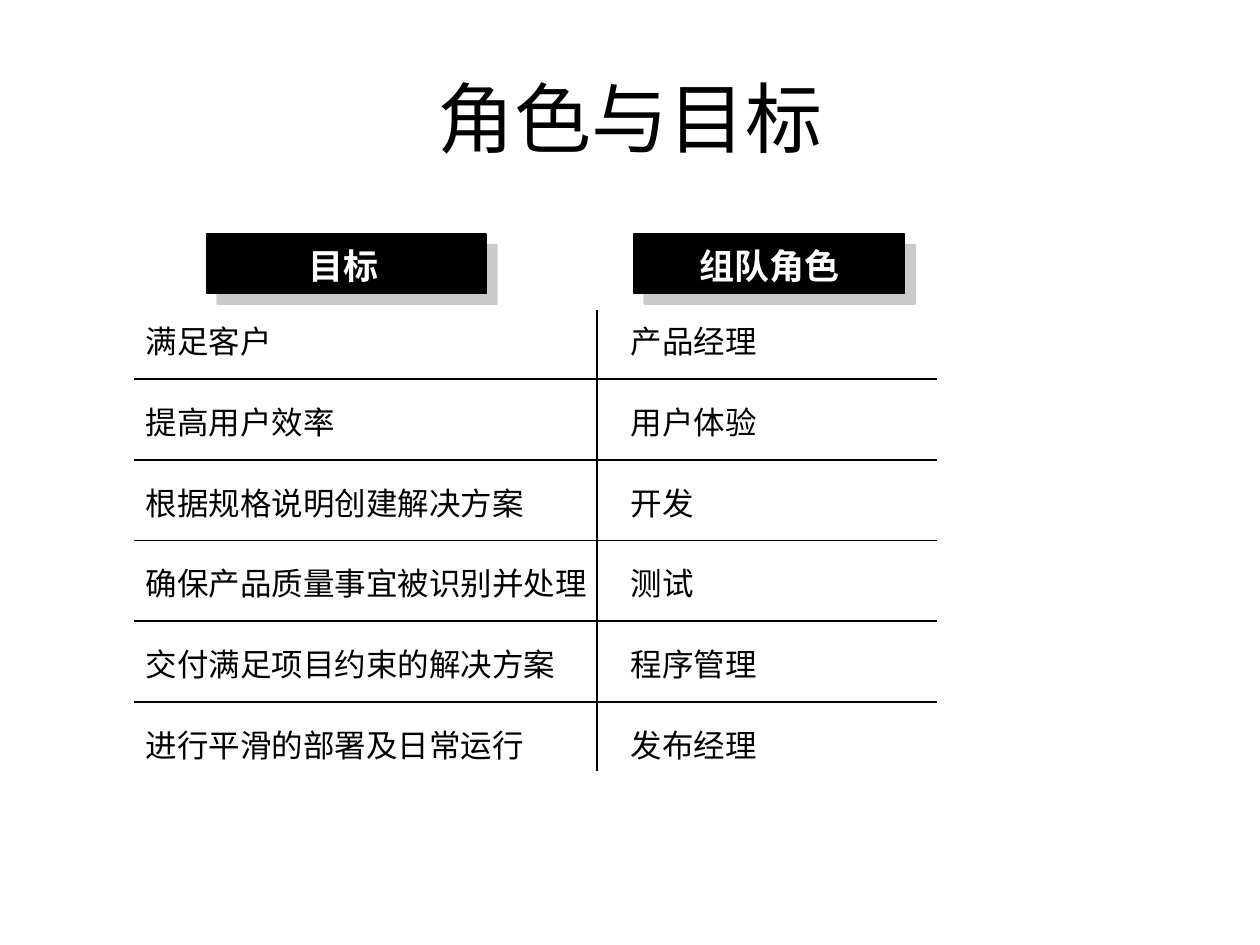
from lxml import etree
from pptx import Presentation
from pptx.dml.color import RGBColor
from pptx.enum.shapes import MSO_CONNECTOR, MSO_SHAPE
from pptx.enum.text import MSO_ANCHOR, PP_ALIGN
from pptx.oxml import parse_xml
from pptx.oxml.ns import qn
from pptx.util import Inches, Pt

LINE, RECT = MSO_CONNECTOR.STRAIGHT, MSO_SHAPE.RECTANGLE
LEFT, CENTER, MIDDLE = PP_ALIGN.LEFT, PP_ALIGN.CENTER, MSO_ANCHOR.MIDDLE
BLACK = RGBColor(0, 0, 0)
WHITE = RGBColor(255, 255, 255)

SHADOW = (
    '<a:outerShdw xmlns:a="http://schemas.openxmlformats.org/drawingml/2006/main"'
    ' dist="107950" dir="2700000" algn="ctr" rotWithShape="0">'
    '<a:srgbClr val="969696"><a:alpha val="50000"/></a:srgbClr></a:outerShdw>'
)

ROW_H = 0.64
TEXT_TOP = 2.51
RULE_TOP = 3.01
GRID_LEFT, GRID_RIGHT, DIVIDER = 1.06, 7.44, 4.74
GOAL_X, ROLE_X = 1.06, 4.91

HEADERS = [
    ("目标", 1.64, 2.22, 1.69, 2.08),
    ("组队角色", 5.03, 2.15, 4.81, 2.6),
]
ROWS = [
    ("满足客户", "产品经理"),
    ("提高用户效率", "用户体验"),
    ("根据规格说明创建解决方案", "开发"),
    ("确保产品质量事宜被识别并处理", "测试"),
    ("交付满足项目约束的解决方案", "程序管理"),
    ("进行平滑的部署及日常运行", "发布经理"),
]

prs = Presentation()
prs.slide_width, prs.slide_height = Inches(10), Inches(7.5)
s = prs.slides.add_slide(prs.slide_layouts[5])


def add_text(text, x, y, w, h, size, font, color=BLACK, bold=False, align=LEFT):
    tf = s.shapes.add_textbox(Inches(x), Inches(y), Inches(w), Inches(h)).text_frame
    tf.word_wrap = True
    p = tf.paragraphs[0]
    p.text = text
    p.alignment = align
    p.font.size, p.font.name, p.font.bold = Pt(size), font, bold
    p.font.color.rgb = color


def add_rule(x1, y1, x2, y2):
    c = s.shapes.add_connector(LINE, Inches(x1), Inches(y1), Inches(x2), Inches(y2))
    c.line.color.rgb = BLACK
    c.line.width = Pt(1)
    etree.SubElement(c._element.spPr, qn("a:effectLst"))


title = s.shapes.title
title.left, title.top = Inches(0.5), Inches(0.3)
title.width, title.height = Inches(9), Inches(1.25)
tf = title.text_frame
tf.vertical_anchor = MIDDLE
p = tf.paragraphs[0]
p.text = "角色与目标"
p.alignment = CENTER
p.font.size, p.font.name = Pt(44), "Arial"
p.font.color.rgb = BLACK

for i in range(len(ROWS) - 1):
    y = RULE_TOP + i * ROW_H
    add_rule(GRID_LEFT, y, GRID_RIGHT, y)

for text, bar_x, bar_w, text_x, text_w in HEADERS:
    sp = s.shapes.add_shape(RECT, Inches(bar_x), Inches(1.86), Inches(bar_w), Inches(0.47))
    sp.fill.solid()
    sp.fill.fore_color.rgb = BLACK
    sp.line.color.rgb = BLACK
    sp.line.width = Pt(1)
    sp.shadow.inherit = False
    sp._element.spPr.find(qn("a:effectLst")).append(parse_xml(SHADOW))
    add_text(text, text_x, 1.89, text_w, 0.43, 20, "Arial Narrow", WHITE, True, CENTER)

for i, (goal, role) in enumerate(ROWS):
    y = TEXT_TOP + i * ROW_H
    add_text(goal, GOAL_X, y, 3.78, 0.4, 18, "Lato" if i else "Arial Narrow")
    add_text(role, ROLE_X, y, 2.4, 0.4, 18, "Arial Narrow")

add_rule(DIVIDER, 2.46, DIVIDER, 6.12)

prs.save("out.pptx")
